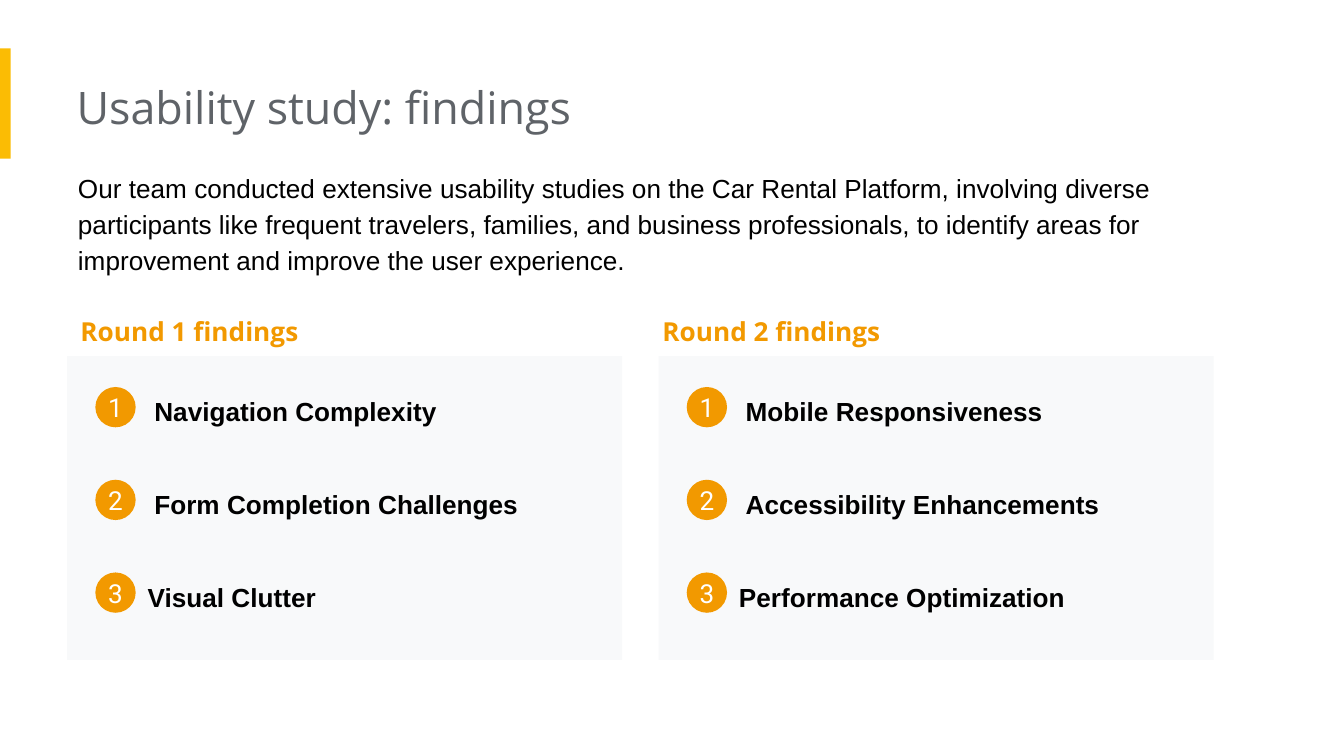
"""Build the usability study findings slide."""
from dataclasses import dataclass

import pptx
import pptx.dml.color
import pptx.enum.shapes
import pptx.enum.text
import pptx.shapes.autoshape
import pptx.slide
import pptx.text.text
import pptx.util

Inches = pptx.util.Inches
Shape = pptx.shapes.autoshape.Shape
Slide = pptx.slide.Slide
MSO_SHAPE = pptx.enum.shapes.MSO_SHAPE

COLORS = {
    "accent": "FBBC04",
    "title": "5F6368",
    "body": "000000",
    "orange": "F29900",
    "panel": "F8F9FA",
    "number": "FFFFFF",
}
SLIDE_WIDTH = 10
SLIDE_HEIGHT = SLIDE_WIDTH * 9 / 16
PANEL_TOP = 2.65
ROW_STEP = 0.69


@dataclass(frozen=True)
class Box:
    left: float
    top: float
    width: float
    height: float

    def lengths(self) -> tuple[pptx.util.Length, ...]:
        return tuple(Inches(n) for n in (self.left, self.top, self.width, self.height))


@dataclass(frozen=True)
class Style:
    font: str
    color: str
    size: int = 14
    bold: bool = False
    line_spacing: float = 1.15


@dataclass(frozen=True)
class Round:
    heading: str
    heading_left: float
    panel_left: float
    findings: tuple[str, ...]


TITLE = Style("Open Sans", "title", size=24, line_spacing=1.0)
BODY = Style("Arial", "body")
HEADING = Style("Open Sans", "orange", bold=True)
FINDING = Style("Arial", "body", bold=True)
NUMBER = Style("Roboto", "number", line_spacing=1.0)

ROUNDS = (
    Round("Round 1 findings", 0.5, 0.5,
          ("Navigation Complexity", "Form Completion Challenges", "Visual Clutter")),
    Round("Round 2 findings", 4.83, 4.9,
          ("Mobile Responsiveness", "Accessibility Enhancements", "Performance Optimization")),
)
FINDING_INDENTS = (0.55, 0.55, 0.5)


def rgb(color: str) -> pptx.dml.color.RGBColor:
    return pptx.dml.color.RGBColor.from_string(COLORS[color])


def write(frame: pptx.text.text.TextFrame, text: str, style: Style) -> None:
    frame.word_wrap = True
    frame.text = text
    paragraph = frame.paragraphs[0]
    paragraph.line_spacing = style.line_spacing
    font = paragraph.runs[0].font
    font.name = style.font
    font.size = pptx.util.Pt(style.size)
    font.bold = style.bold
    font.color.rgb = rgb(style.color)


def add_text(slide: Slide, box: Box, text: str, style: Style, inset: float = 0.1) -> None:
    frame = slide.shapes.add_textbox(*box.lengths()).text_frame
    write(frame, text, style)
    frame.margin_left = Inches(inset)
    frame.margin_right = frame.margin_top = frame.margin_bottom = Inches(0.1)


def add_filled(slide: Slide, kind: MSO_SHAPE, box: Box, color: str) -> Shape:
    shape = slide.shapes.add_shape(kind, *box.lengths())
    shape.shadow.inherit = False
    shape.fill.solid()
    shape.fill.fore_color.rgb = rgb(color)
    shape.line.fill.background()
    return shape


def add_badge(slide: Slide, left: float, top: float, number: int) -> None:
    badge = add_filled(slide, MSO_SHAPE.OVAL, Box(left, top, 0.3, 0.3), "orange")
    frame = badge.text_frame
    write(frame, str(number), NUMBER)
    frame.margin_left = frame.margin_right = frame.margin_top = frame.margin_bottom = Inches(0)
    frame.vertical_anchor = pptx.enum.text.MSO_ANCHOR.MIDDLE
    frame.paragraphs[0].alignment = pptx.enum.text.PP_ALIGN.CENTER


def add_round(slide: Slide, study: Round) -> None:
    left = study.panel_left
    add_text(slide, Box(study.heading_left, 2.21, 3.65, 0.44), study.heading, HEADING)
    add_filled(slide, MSO_SHAPE.RECTANGLE, Box(left, PANEL_TOP, 4.13, 2.26), "panel")
    for row, (finding, indent) in enumerate(zip(study.findings, FINDING_INDENTS)):
        top = PANEL_TOP + row * ROW_STEP
        add_text(slide, Box(left + indent, top + 0.16, 3.65, 0.47), finding, FINDING)
        add_badge(slide, left + 0.21, top + 0.23, row + 1)


def main() -> None:
    deck = pptx.Presentation()
    deck.slide_width, deck.slide_height = Inches(SLIDE_WIDTH), Inches(SLIDE_HEIGHT)
    slide = deck.slides.add_slide(deck.slide_layouts[6])
    add_filled(slide, MSO_SHAPE.RECTANGLE, Box(0, 0.36, 0.08, 0.82), "accent")
    add_text(slide, Box(0.57, 0.49, 6.73, 0.61), "Usability study: findings", TITLE, inset=0)
    add_text(
        slide,
        Box(0.58, 1.15, 8.61, 1.01),
        "Our team conducted extensive usability studies on the Car Rental Platform, "
        "involving diverse participants like frequent travelers, families, and business "
        "professionals, to identify areas for improvement and improve the user experience.",
        BODY,
        inset=0,
    )
    for study in ROUNDS:
        add_round(slide, study)
    deck.save("out.pptx")


if __name__ == "__main__":
    main()
